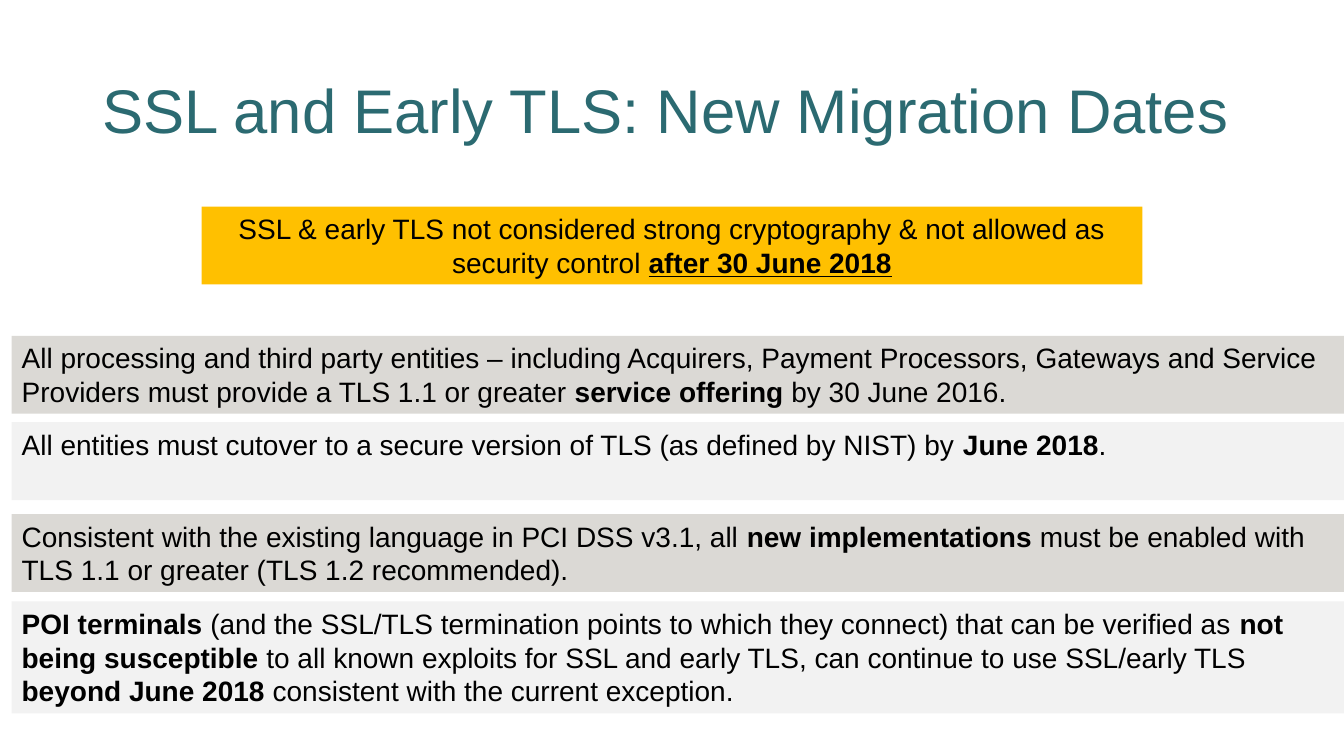
from dataclasses import dataclass

from pptx import Presentation
from pptx.dml.color import RGBColor
from pptx.enum.shapes import MSO_SHAPE
from pptx.enum.text import MSO_ANCHOR, MSO_AUTO_SIZE, PP_ALIGN
from pptx.util import Pt


@dataclass(frozen=True)
class Theme:
    font: str = "Arial"
    title_size: float = 44
    body_size: float = 20
    title: str = "2B6A71"
    text: str = "000000"
    accent: str = "FFC000"
    dark: str = "DBD9D5"
    light: str = "F2F2F2"


@dataclass(frozen=True)
class Run:
    text: str
    bold: bool = False
    underline: bool = False


@dataclass(frozen=True)
class Band:
    top: float
    fill: str
    runs: tuple[Run, ...]
    height: float = 55.6
    left: float = 8.4
    width: float = 951.6
    align: PP_ALIGN = PP_ALIGN.LEFT


THEME = Theme()

BANDS = (
    Band(239.9, THEME.dark, (
        Run("All processing and third party entities – including Acquirers, Payment Processors, "
            "Gateways and Service Providers must provide a TLS 1.1 or greater "),
        Run("service offering", bold=True),
        Run(" by 30 June 2016."),
    )),
    Band(301.6, THEME.light, (
        Run("All entities must cutover to a secure version of TLS (as defined by NIST) by "),
        Run("June 2018", bold=True),
        Run("."),
    )),
    Band(367.2, THEME.dark, (
        Run("Consistent with the existing language in PCI DSS v3.1, all "),
        Run("new implementations ", bold=True),
        Run("must be enabled with TLS 1.1 or greater (TLS 1.2 recommended)."),
    )),
    Band(429.6, THEME.light, (
        Run("POI terminals ", bold=True),
        Run("(and the SSL/TLS termination points to which they connect) that can be verified as "),
        Run("not being susceptible", bold=True),
        Run(" to all known exploits for SSL and early TLS, can continue to use SSL/early TLS "),
        Run("beyond June 2018", bold=True),
        Run(" consistent with the current exception."),
    ), height=79.9),
    Band(147.6, THEME.accent, (
        Run("SSL & early TLS not considered strong cryptography & not allowed as security control "),
        Run("after 30 June 2018", bold=True, underline=True),
    ), left=144, width=672, align=PP_ALIGN.CENTER),
)


def add_text(p, text: str, *, size: float = THEME.body_size, color: str = THEME.text,
             bold: bool = False, underline: bool = False) -> None:
    r = p.add_run()
    r.text = text
    r.font.name = THEME.font
    r.font.size = Pt(size)
    r.font.color.rgb = RGBColor.from_string(color)
    r.font.bold = bold
    r.font.underline = underline


def add_title(s, text: str) -> None:
    sp = s.shapes.title
    sp.left, sp.top, sp.width, sp.height = Pt(66), Pt(28.8), Pt(828), Pt(104.4)
    tf = sp.text_frame
    tf.auto_size = MSO_AUTO_SIZE.NONE
    tf.vertical_anchor = MSO_ANCHOR.MIDDLE
    p = tf.paragraphs[0]
    p.alignment = PP_ALIGN.LEFT
    p.line_spacing = 0.9
    add_text(p, text, size=THEME.title_size, color=THEME.title)


def add_band(s, band: Band) -> None:
    sp = s.shapes.add_shape(MSO_SHAPE.RECTANGLE, Pt(band.left), Pt(band.top),
                            Pt(band.width), Pt(band.height))
    sp.shadow.inherit = False
    sp.fill.solid()
    sp.fill.fore_color.rgb = RGBColor.from_string(band.fill)
    sp.line.fill.background()
    tf = sp.text_frame
    tf.word_wrap = True
    tf.vertical_anchor = MSO_ANCHOR.TOP
    p = tf.paragraphs[0]
    p.alignment = band.align
    for run in band.runs:
        add_text(p, run.text, bold=run.bold, underline=run.underline)


def main() -> None:
    prs = Presentation()
    prs.slide_width, prs.slide_height = Pt(960), Pt(540)
    s = prs.slides.add_slide(prs.slide_layouts[5])

    # Title
    add_title(s, "SSL and Early TLS: New Migration Dates")

    # Requirement bands and the deadline banner
    for band in BANDS:
        add_band(s, band)

    prs.save("out.pptx")


if __name__ == "__main__":
    main()
